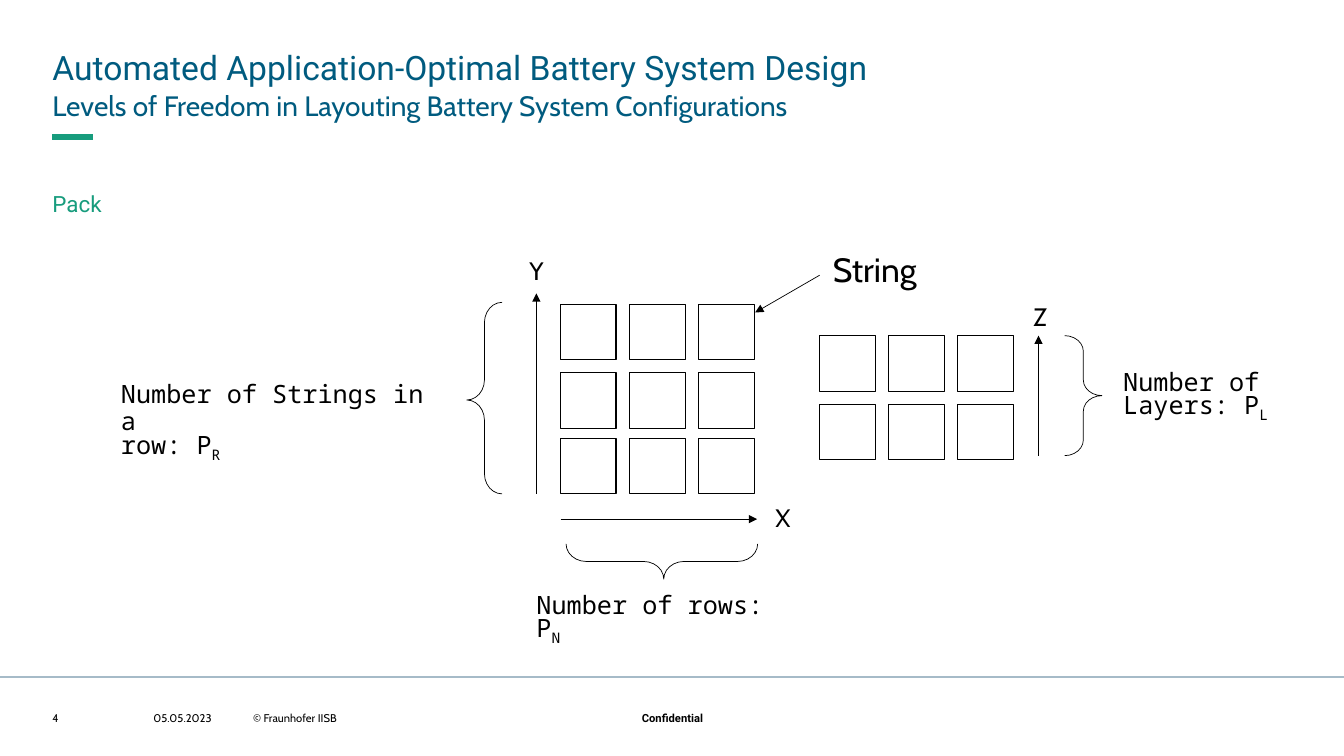
import pptx
import pptx.dml.color
import pptx.enum.shapes
import pptx.enum.text
import pptx.oxml
import pptx.oxml.ns
import pptx.util
from pptx.util import Inches

RGBColor = pptx.dml.color.RGBColor
SHAPE = pptx.enum.shapes.MSO_SHAPE
ALIGN = pptx.enum.text.PP_ALIGN
ANCHOR = pptx.enum.text.MSO_ANCHOR

BLACK = RGBColor(0x00, 0x00, 0x00)
WHITE = RGBColor(0xFF, 0xFF, 0xFF)
GREEN = RGBColor(0x17, 0x9C, 0x7D)
BLUE = RGBColor(0x00, 0x5B, 0x7F)
GREY = RGBColor(0xA6, 0xBB, 0xC8)

SANS, HEAD, MONO = "Cabin", "Roboto", "Noto Sans Mono"
LABEL_SPACING = pptx.util.Pt(19.6)
CELL = 0.55


def add_text(s, box, lines, size, font, color=BLACK, spacing=None, bold=False,
             align=ALIGN.LEFT, anchor=ANCHOR.TOP):
    """Add a text box; a line is a string or a (text, subscript) pair."""
    tf = s.shapes.add_textbox(*map(Inches, box)).text_frame
    tf.margin_left = tf.margin_right = tf.margin_top = tf.margin_bottom = 0
    tf.word_wrap = True
    tf.vertical_anchor = anchor
    for i, line in enumerate(lines):
        p = tf.paragraphs[0] if i == 0 else tf.add_paragraph()
        p.alignment = align
        if spacing:
            p.line_spacing = spacing
        p.font.size = pptx.util.Pt(size)
        p.font.name = font
        p.font.bold = bold
        p.font.color.rgb = color
        text, subscript = (line, "") if isinstance(line, str) else line
        p.add_run().text = text
        if subscript:
            r = p.add_run()
            r.text = subscript
            r.font._element.set("baseline", "-25000")


def add_label(s, box, lines, font=SANS, size=18):
    add_text(s, box, lines, size, font, spacing=LABEL_SPACING)


def add_line(s, start, end, color=BLACK, width=0.5, arrow=False):
    line = s.shapes.add_connector(pptx.enum.shapes.MSO_CONNECTOR.STRAIGHT,
                                  *map(Inches, start + end))
    line.line.color.rgb = color
    line.line.width = pptx.util.Pt(width)
    if arrow:
        tail = pptx.oxml.parse_xml(
            '<a:tailEnd %s type="triangle"/>' % pptx.oxml.ns.nsdecls("a"))
        line.line._get_or_add_ln().append(tail)
    line._element.spPr.append(pptx.oxml.parse_xml(
        "<a:effectLst %s/>" % pptx.oxml.ns.nsdecls("a")))


def add_outline(s, kind, box, width):
    shape = s.shapes.add_shape(kind, *map(Inches, box))
    shape.shadow.inherit = False
    shape.fill.background()
    shape.line.color.rgb = BLACK
    shape.line.width = pptx.util.Pt(width)
    return shape


def add_brace(s, kind, box, curl, tip, rotation=0):
    brace = add_outline(s, kind, box, 0.5)
    brace.adjustments[0] = curl
    brace.adjustments[1] = tip
    brace.rotation = rotation


def add_cells(s, left, width, row_tops, cols=3):
    """Spread the square strings evenly over the width, row by row."""
    pitch = (width - CELL) / (cols - 1)
    for top in row_tops:
        for col in range(cols):
            cell = add_outline(s, SHAPE.RECTANGLE,
                               (left + col * pitch, top, CELL, CELL), 0.75)
            cell.fill.solid()
            cell.fill.fore_color.rgb = WHITE


def add_header(s, x, y, w):
    add_text(s, (x, y, w, 0.42),
             ["Automated Application-Optimal Battery System Design"],
             24, HEAD, BLUE, 1.1)
    add_text(s, (x, y + 0.42, w, 0.4),
             ["Levels of Freedom in Layouting Battery System Configurations"],
             20, SANS, BLUE, 1.1)
    add_line(s, (x, y + 0.93), (x + 0.4, y + 0.93), GREEN, 4)
    add_text(s, (x, y + 1.43, w, 0.28), ["Pack"], 16, HEAD, GREEN, 1.1)


def add_footer(s, x, y, w):
    add_line(s, (0, y), (w, y), GREY, 1.5)
    top = y + 0.34
    for dx, width, text in ((0, 0.79, "4"), (1, 0.79, "05.05.2023"),
                            (1.99, 3.23, "© Fraunhofer IISB")):
        add_text(s, (x + dx, top, width, 0.13), [text], 8, SANS,
                 anchor=ANCHOR.MIDDLE)
    add_text(s, (x + 5.36, top, 1.58, 0.13), ["Confidential"], 8, HEAD,
             bold=True, align=ALIGN.CENTER)


def add_top_view(s, x, y, w):
    """Strings in the X-Y plane."""
    add_cells(s, x, w, (y, y + 0.68, y + 1.33))
    # Axes
    add_line(s, (x - 0.24, y + 1.88), (x - 0.24, y - 0.11), arrow=True)
    add_label(s, (x - 0.31, y - 0.46, 0.2, 0.28), ["Y"])
    add_line(s, (x, y + 2.13), (x + 1.95, y + 2.13), arrow=True)
    add_label(s, (x + 2.13, y + 1.99, 0.44, 0.28), ["X"])
    # Pointer to one string
    add_line(s, (x + 2.57, y - 0.29), (x + 1.93, y + 0.08), arrow=True)
    add_label(s, (x + 2.7, y - 0.42, 0.9, 0.3), ["String"], size=24)
    # Strings in a row
    add_brace(s, SHAPE.LEFT_BRACE, (x - 0.93, y - 0.02, 0.35, 1.9), 0.57, 0.51)
    add_label(s, (x - 4.36, y + 0.76, 3.19, 0.82),
              ["Number of Strings in a", ("row: P", "R")], MONO)
    # Number of rows
    add_brace(s, SHAPE.LEFT_BRACE, (x + 0.83, y + 1.6, 0.35, 1.9),
              0.57, 0.51, 270)
    add_label(s, (x - 0.24, y + 2.85, 2.45, 0.56),
              [("Number of rows: P", "N")], MONO)


def add_side_view(s, x, y, w):
    """Layers stacked along Z."""
    add_cells(s, x, w, (y, y + 0.68))
    add_line(s, (x + 2.17, y + 1.19), (x + 2.17, y), arrow=True)
    add_label(s, (x + 2.12, y - 0.31, 0.44, 0.28), ["Z"])
    add_brace(s, SHAPE.RIGHT_BRACE, (x + 2.43, y, 0.37, 1.19), 0.42, 0.5)
    add_label(s, (x + 3.01, y + 0.33, 1.88, 0.56),
              ["Number of", ("Layers: P", "L")], MONO)


def main():
    prs = pptx.Presentation()
    prs.slide_width, prs.slide_height = Inches(13.33), Inches(7.5)
    s = prs.slides.add_slide(prs.slide_layouts[6])
    add_header(s, 0.52, 0.43, 12.28)
    add_top_view(s, 5.56, 3.02, 1.92)
    add_side_view(s, 8.13, 3.33, 1.92)
    add_footer(s, 0.52, 6.72, 13.33)
    prs.save("out.pptx")


if __name__ == "__main__":
    main()
